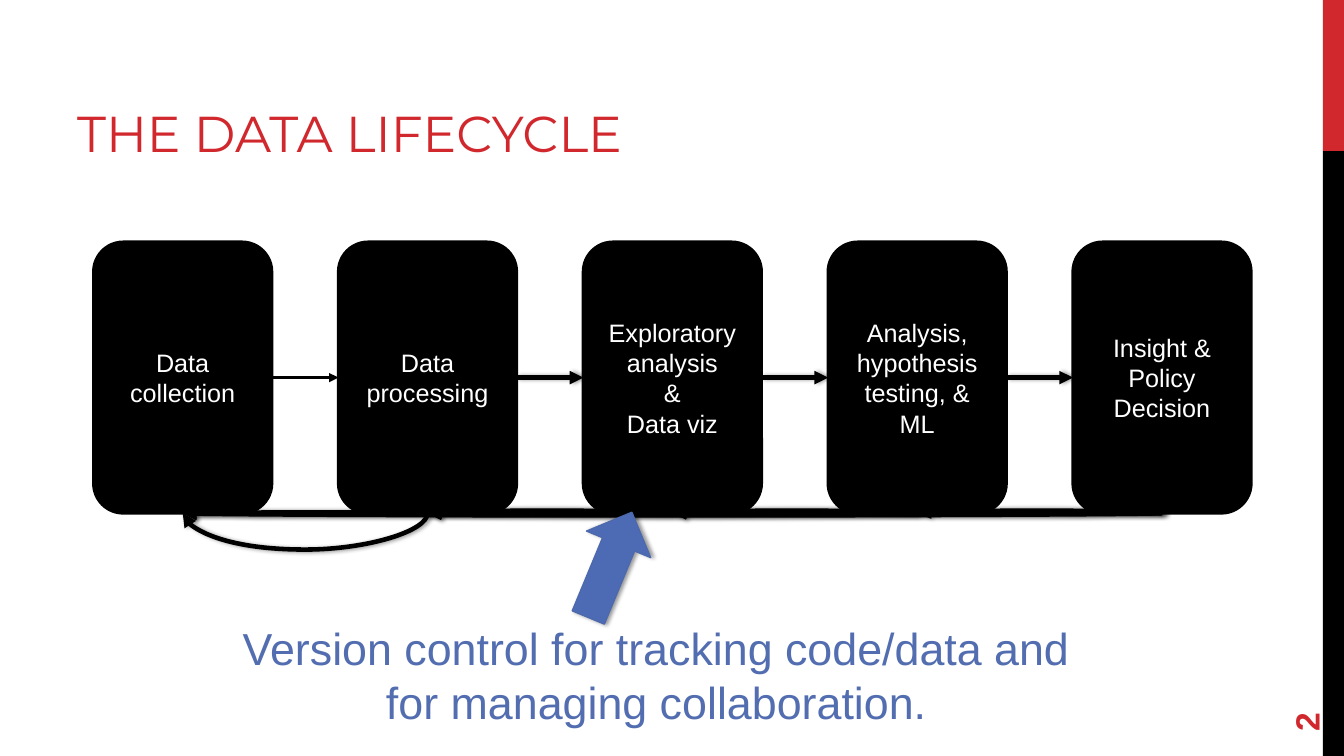
"""Build the data lifecycle slide."""
from dataclasses import dataclass
from itertools import combinations

from lxml import etree
from pptx import Presentation
from pptx import util as u
from pptx.dml.color import RGBColor
from pptx.enum import shapes, text
from pptx.oxml.ns import qn

RED, BLACK, WHITE = "D1282E", "000000", "FFFFFF"
BLUE, ARROW_BLUE, ARROW_EDGE = "526DB0", "4D6BB4", "4D69AD"
STAGES = (
    ("Data collection",),
    ("Data processing",),
    ("Exploratory analysis", "&", "Data viz"),
    ("Analysis, hypothesis testing, & ML",),
    ("Insight & Policy Decision",),
)
STAGE_LEFT, STAGE_TOP, STAGE_WIDTH, STAGE_HEIGHT = 2.36, 6.1, 4.49, 6.83
STAGE_PITCH = 6.17
STAGE_BOTTOM = STAGE_TOP + STAGE_HEIGHT
SAG_BY_SPAN = {1: -0.03, 2: -0.01, 3: 0.01, 4: 0.03}
FIRST_SAG = 0.46
LOOP_DEPTH = 0.001


@dataclass(frozen=True)
class Box:
    """Position and size in centimetres."""

    left: float
    top: float
    width: float
    height: float

    def lengths(self) -> tuple:
        """Return the four values as lengths."""
        return tuple(u.Cm(value) for value in (self.left, self.top, self.width, self.height))


@dataclass(frozen=True)
class Style:
    """Look of a text run."""

    size: float
    color: str
    font: str = "Arial"
    bold: bool = False


def color(value: str) -> RGBColor:
    """Turn a hex string into a colour."""
    return RGBColor.from_string(value)


def write(shape, lines: tuple, style: Style, align, anchor) -> None:
    """Fill a shape with one paragraph per line."""
    frame = shape.text_frame
    frame.word_wrap = True
    frame.auto_size = text.MSO_AUTO_SIZE.NONE
    frame.vertical_anchor = anchor
    for index, line in enumerate(lines):
        paragraph = frame.add_paragraph() if index else frame.paragraphs[0]
        paragraph.alignment = align
        run = paragraph.add_run()
        run.text = line
        run.font.size = u.Pt(style.size)
        run.font.name = style.font
        run.font.bold = style.bold
        run.font.color.rgb = color(style.color)


def set_shadow(shape, visible: bool) -> None:
    """Replace the theme shadow by a soft one or by none."""
    properties = shape.element.spPr
    for effects in properties.findall(qn("a:effectLst")):
        properties.remove(effects)
    effects = etree.SubElement(properties, qn("a:effectLst"))
    if visible:
        shadow = etree.SubElement(effects, qn("a:outerShdw"), blurRad=str(u.Pt(3.1)),
                                  dist=str(u.Pt(1.8)), dir="0", rotWithShape="0")
        tint = etree.SubElement(shadow, qn("a:srgbClr"), val=BLACK)
        etree.SubElement(tint, qn("a:alpha"), val="40000")


def add_block(slide, kind, box: Box, fill: str, edge: str = "", weight: float = 0,
              shadow: bool = False):
    """Add a filled preset shape."""
    shape = slide.shapes.add_shape(kind, *box.lengths())
    shape.fill.solid()
    shape.fill.fore_color.rgb = color(fill)
    if edge:
        shape.line.color.rgb = color(edge)
        shape.line.width = u.Pt(weight)
    else:
        shape.line.fill.background()
    set_shadow(shape, shadow)
    return shape


def style_arrow(connector, weight: float, shadow: bool) -> None:
    """Give a connector its line, arrowhead and shadow."""
    connector.line.color.rgb = color(BLACK)
    connector.line.width = u.Pt(weight)
    outline = connector.element.spPr.find(qn("a:ln"))
    etree.SubElement(outline, qn("a:tailEnd"), type="triangle")
    set_shadow(connector, shadow)


def stage_left(index: int) -> float:
    """Return the left edge of a stage."""
    return STAGE_LEFT + index * STAGE_PITCH


def add_stage(slide, index: int, lines: tuple) -> None:
    """Add a stage box and the arrow that leads to it."""
    box = Box(stage_left(index), STAGE_TOP, STAGE_WIDTH, STAGE_HEIGHT)
    stage = add_block(slide, shapes.MSO_SHAPE.ROUNDED_RECTANGLE, box, BLACK, BLACK, 2.25)
    write(stage, lines, Style(18, WHITE), text.PP_ALIGN.CENTER, text.MSO_ANCHOR.MIDDLE)
    if index:
        middle = u.Cm(STAGE_TOP + STAGE_HEIGHT / 2)
        start = u.Cm(stage_left(index - 1) + STAGE_WIDTH)
        arrow = slide.shapes.add_connector(shapes.MSO_CONNECTOR.STRAIGHT, start, middle,
                                           u.Cm(box.left), middle)
        style_arrow(arrow, 2.25 if index == 1 else 3.25, index > 1)


def add_loop(slide, target: int, source: int) -> None:
    """Add a curved arrow back from a stage to an earlier one."""
    span = (source - target) * STAGE_PITCH
    center = stage_left(target) + (STAGE_WIDTH + span) / 2
    top = STAGE_BOTTOM - span / 2
    loop = slide.shapes.add_connector(shapes.MSO_CONNECTOR.CURVE, u.Cm(center), u.Cm(top),
                                      u.Cm(center + LOOP_DEPTH), u.Cm(top + span))
    loop.width = u.Cm(LOOP_DEPTH)
    loop.element.spPr.find(qn("a:xfrm")).set("rot", "5400000")
    sag = FIRST_SAG if source == 1 else SAG_BY_SPAN[source - target]
    guides = loop.element.spPr.find(qn("a:prstGeom")).find(qn("a:avLst"))
    etree.SubElement(guides, qn("a:gd"), name="adj1",
                     fmla=f"val {round(sag / LOOP_DEPTH * 100000)}")
    style_arrow(loop, 3.25, True)


def main() -> None:
    """Build and save the slide."""
    presentation = Presentation()
    presentation.slide_width, presentation.slide_height = u.Cm(33.87), u.Cm(19.05)
    slide = presentation.slides.add_slide(presentation.slide_layouts[5])
    left, middle, center = text.PP_ALIGN.LEFT, text.MSO_ANCHOR.MIDDLE, text.PP_ALIGN.CENTER

    rectangle = shapes.MSO_SHAPE.RECTANGLE
    add_block(slide, rectangle, Box(33.34, 0, 0.53, 3.81), RED)
    add_block(slide, rectangle, Box(33.34, 3.81, 0.53, 15.24), BLACK)

    title = slide.shapes.title
    title.left, title.top, title.width, title.height = Box(1.69, 0.42, 21.43, 3.81).lengths()
    write(title, ("THE DATA LIFECYCLE",), Style(36, RED, "Montserrat"), left,
          text.MSO_ANCHOR.BOTTOM)

    number = slide.shapes.add_textbox(*Box(31.09, 16.18, 3.66, 1.35).lengths())
    number.rotation = 270
    write(number, ("2",), Style(24, RED, bold=True), left, middle)

    for index, lines in enumerate(STAGES):
        add_stage(slide, index, lines)
    for target, source in combinations(range(len(STAGES)), 2):
        add_loop(slide, target, source)

    caption = add_block(slide, rectangle, Box(5.56, 15.52, 21.97, 2.97), WHITE)
    write(caption, ("Version control for tracking code/data and for managing collaboration.",),
          Style(32, BLUE), center, text.MSO_ANCHOR.TOP)
    pointer = add_block(slide, shapes.MSO_SHAPE.UP_ARROW, Box(14.5, 12.8, 1.75, 2.87),
                        ARROW_BLUE, ARROW_EDGE, 1, True)
    pointer.rotation = 22.5
    presentation.save("out.pptx")


main()
